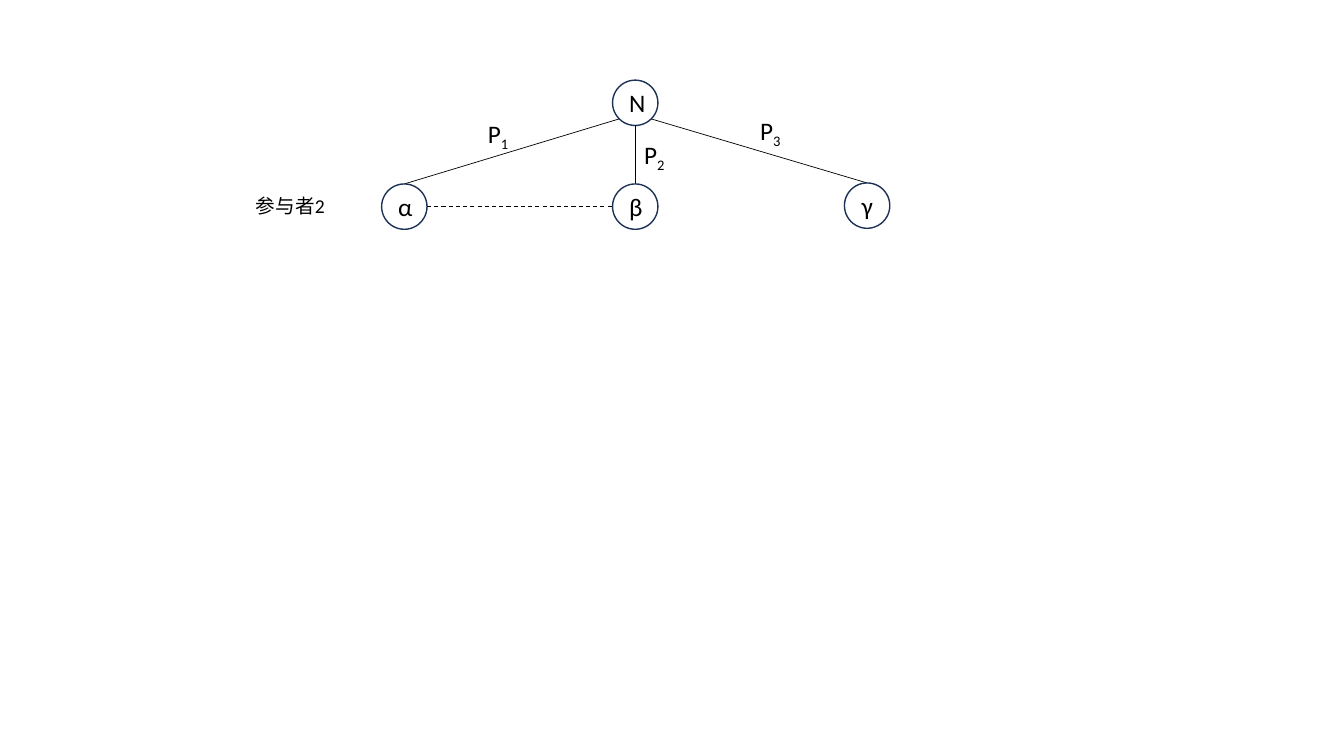
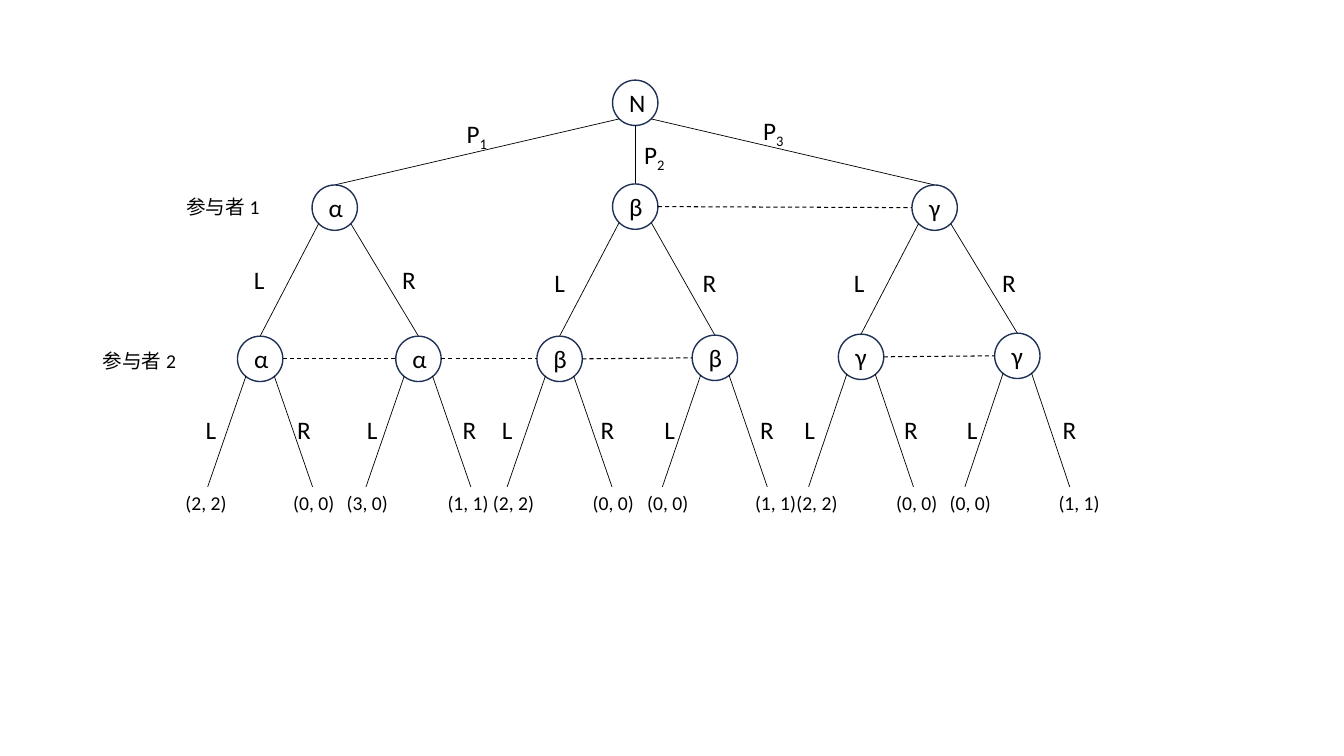
from lxml import etree
from pptx import Presentation
from pptx import util as u
from pptx.dml.color import RGBColor
from pptx.enum import dml, shapes, text
from pptx.oxml.ns import qn

BLACK = RGBColor(0x00, 0x00, 0x00)
NAVY = RGBColor(0x1E, 0x32, 0x56)
FONT = "Calibri"
RADIUS = 0.225
DIAGONAL = 0.16
ROOT = (6.3, 1.02)
LEAF_Y = 4.83


def write(tf, content, size=18, sub="", align=None):
    p = tf.paragraphs[0]
    p.alignment = align
    for part in filter(None, (content, sub)):
        r = p.add_run()
        r.text = part
        r.font.name, r.font.size = FONT, u.Pt(size)
        r.font.color.rgb = BLACK
    if sub:
        r._r.get_or_add_rPr().set("baseline", "-25000")


class GameTree:
    """Draws the nodes, branches and labels of game trees on slides."""

    def __init__(self):
        self.prs = Presentation()
        self.prs.slide_width = u.Inches(13.33)
        self.prs.slide_height = u.Inches(7.5)

    def new_slide(self):
        self.s = self.prs.slides.add_slide(self.prs.slide_layouts[6])

    def node(self, name, centre):
        x, y = centre
        sp = self.s.shapes.add_shape(
            shapes.MSO_SHAPE.OVAL, u.Inches(x - RADIUS), u.Inches(y - RADIUS),
            u.Inches(2 * RADIUS), u.Inches(2 * RADIUS))
        sp.shadow.inherit = False
        sp.fill.background()
        sp.line.color.rgb, sp.line.width = NAVY, u.Pt(1)
        sp.text_frame.vertical_anchor = text.MSO_ANCHOR.MIDDLE
        write(sp.text_frame, name, align=text.PP_ALIGN.CENTER)

    def line(self, start, end, width=0.5, dashed=False):
        cx = self.s.shapes.add_connector(
            shapes.MSO_CONNECTOR.STRAIGHT, *map(u.Inches, (*start, *end)))
        cx.line.color.rgb, cx.line.width = BLACK, u.Pt(width)
        if dashed:
            cx.line.dash_style = dml.MSO_LINE.DASH
        etree.SubElement(cx._element.spPr, qn("a:effectLst"))

    def branch(self, parent, child):
        (px, py), (cx, cy) = parent, child
        side = (cx > px) - (cx < px)
        drop = DIAGONAL if side else RADIUS
        self.line((px + side * DIAGONAL, py + drop), (cx, cy - RADIUS))

    def information_set(self, left, right):
        self.line((left[0] + RADIUS, left[1]), (right[0] - RADIUS, right[1]),
                  width=0.75, dashed=True)

    def label(self, content, x, y, w=0.34, h=0.4, **fmt):
        tb = self.s.shapes.add_textbox(*map(u.Inches, (x, y, w, h)))
        tf = tb.text_frame
        tf.word_wrap = False
        tf.auto_size = text.MSO_AUTO_SIZE.SHAPE_TO_FIT_TEXT
        write(tf, content, **fmt)

    def player(self, content, x, y, w=0.93):
        self.label(content, x, y, w, 0.34, size=14)

    def chance_move(self, types, p1_x, p3_x):
        self.node("N", ROOT)
        for name, centre in types:
            self.branch(ROOT, centre)
            self.node(name, centre)
        for sub, x, y in (("1", p1_x, 1.12), ("2", 6.29, 1.33), ("3", p3_x, 1.09)):
            self.label("P", x, y, w=0.42, sub=sub)

    def moves(self, parent, children, label_y):
        for centre, move, dx in zip(children, "LR", (-0.9, 0.57)):
            self.branch(parent, centre)
            self.label(move, parent[0] + dx, label_y, w=0.31 if move == "L" else 0.34)

    def payoffs(self, centre, leaves):
        x, y = centre
        for side, move, (label_x, payoff_x, payoff) in zip((-1, 1), "LR", leaves):
            self.line((x + side * 0.14, y + 0.17), (x + side * 0.52, LEAF_Y))
            self.label(move, label_x, 4.06, w=0.31 if move == "L" else 0.34)
            self.label(payoff, payoff_x, 4.82, 0.61, 0.34, size=14)


def signal_slide(tree):
    types = [("α", (4.01, 2.05)), ("β", (6.3, 2.05)), ("γ", (8.6, 2.04))]
    tree.new_slide()
    tree.chance_move(types, 4.74, 7.44)
    tree.player("参与者2", 2.44, 1.87, w=0.89)
    tree.information_set(types[0][1], types[1][1])


def full_game_slide(tree):
    types = [("α", (3.32, 2.06)), ("β", (6.3, 2.05)), ("γ", (9.27, 2.06))]
    replies = [
        ((2.58, 3.56), [(1.94, 1.74, "(2, 2)"), (2.85, 2.81, "(0, 0)")]),
        ((4.15, 3.56), [(3.54, 3.34, "(3, 0)"), (4.49, 4.34, "(1, 1)")]),
        ((5.55, 3.56), [(4.88, 4.79, "(2, 2)"), (5.86, 5.78, "(0, 0)")]),
        ((7.09, 3.55), [(6.49, 6.32, "(0, 0)"), (7.44, 7.39, "(1, 1)")]),
        ((8.54, 3.54), [(7.88, 7.8, "(2, 2)"), (8.87, 8.79, "(0, 0)")]),
        ((10.09, 3.53), [(9.49, 9.32, "(0, 0)"), (10.44, 10.4, "(1, 1)")]),
    ]
    centres = [centre for centre, _ in replies]
    tree.new_slide()
    tree.chance_move(types, 4.53, 7.47)
    tree.information_set(types[1][1], types[2][1])
    tree.player("参与者 1", 1.75, 1.88)
    tree.player("参与者 2", 0.92, 3.41)
    for i, ((_, parent), label_y) in enumerate(zip(types, (2.57, 2.6, 2.6))):
        tree.moves(parent, centres[2 * i:2 * i + 2], label_y)
    for i, (centre, leaves) in enumerate(replies):
        tree.node(types[i // 2][0], centre)
        tree.payoffs(centre, leaves)
    for left in (0, 1, 2, 4):
        tree.information_set(centres[left], centres[left + 1])


def main():
    tree = GameTree()
    signal_slide(tree)
    full_game_slide(tree)
    tree.prs.save("out.pptx")


if __name__ == "__main__":
    main()
